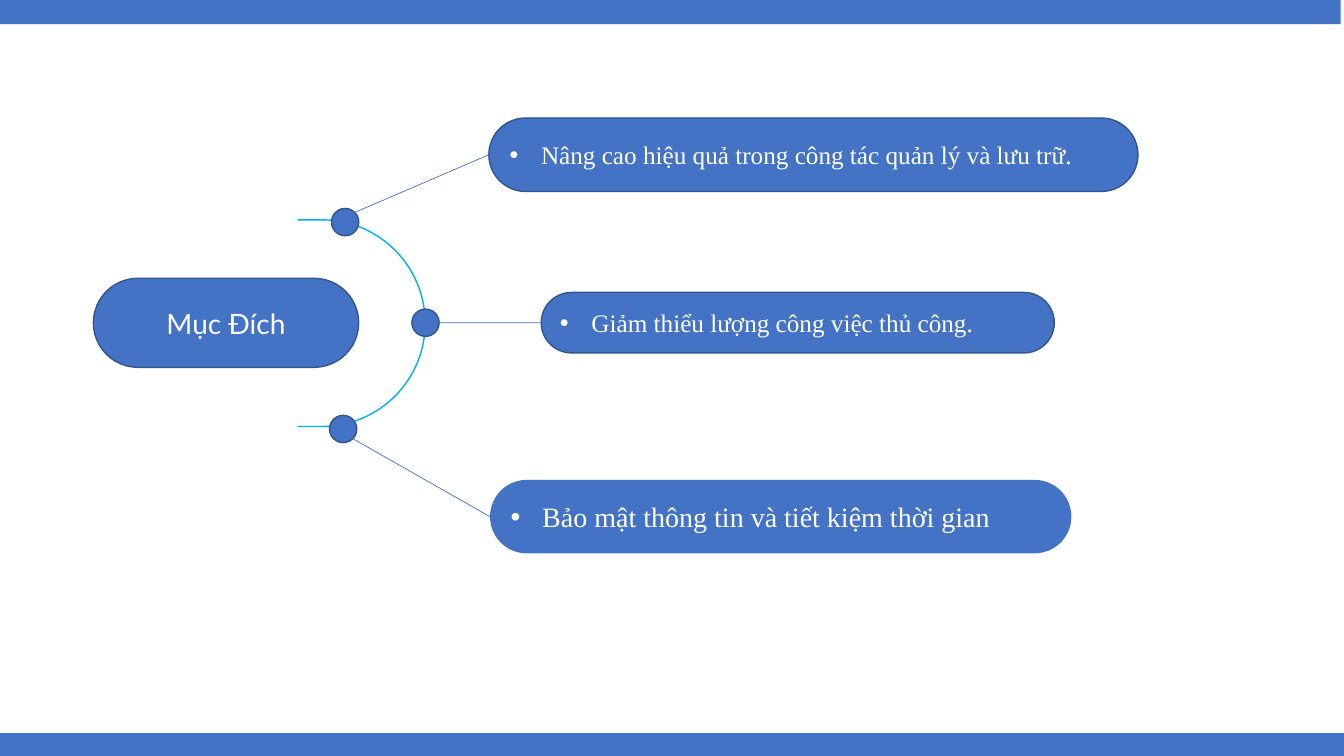
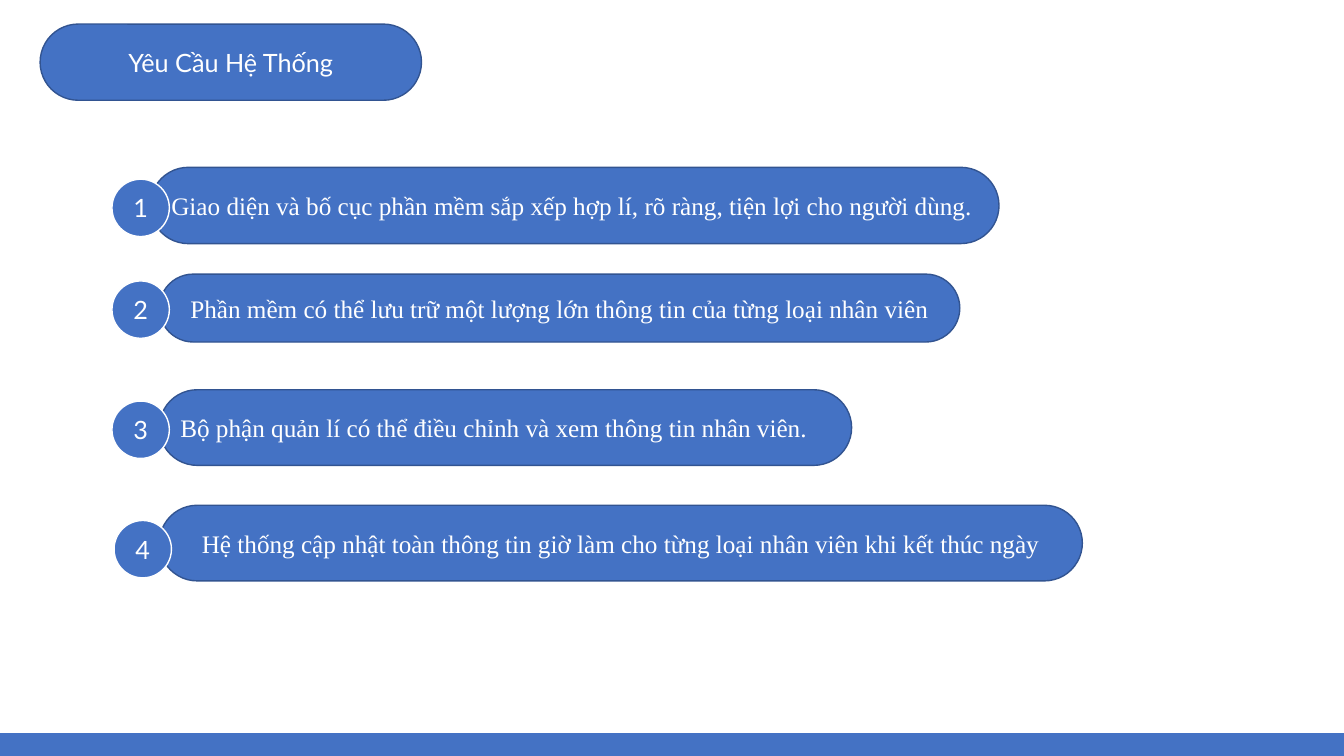
from math import cos, radians, sin

from lxml.etree import SubElement
from pptx import Presentation
from pptx.dml.color import RGBColor
from pptx.enum.shapes import MSO_CONNECTOR, MSO_SHAPE
from pptx.enum.text import MSO_ANCHOR, MSO_AUTO_SIZE, PP_ALIGN
from pptx.oxml.ns import qn
from pptx.util import Pt

# Shared look
BLUE = RGBColor(0x44, 0x72, 0xC4)
DARK_BLUE = RGBColor(0x32, 0x54, 0x91)
CYAN = RGBColor(0x00, 0xB0, 0xF0)
WHITE = RGBColor(0xFF, 0xFF, 0xFF)
SLIDE_W, SLIDE_H = 960, 540
BOTTOM_BAND_TOP = 523.6
NODE_SIZE, BADGE_SIZE = 19.5, 41
BULLET_INDENT = 22.5

FRAME_FORMAT = {
    "word_wrap": True,
    "auto_size": MSO_AUTO_SIZE.NONE,
    "vertical_anchor": MSO_ANCHOR.MIDDLE,
}
HEADING_FONT = {"name": "Lato", "size": Pt(18), "bold": False}
BODY_FONT = {"name": "Times New Roman", "size": Pt(18), "bold": False}

# Slide 1: box, font size, outline, node position, angle of the link on the node
PURPOSES = [
    ("Nâng cao hiệu quả trong công tác quản lý và lưu trữ.",
     (349.2, 84.3, 463.7, 52.5), 18, DARK_BLUE, (236.8, 148.9), -45),
    ("Giảm thiểu lượng công việc thủ công.",
     (386.6, 208.9, 366.5, 43.2), 18, DARK_BLUE, (294.2, 220.8), 0),
    ("Bảo mật thông tin và tiết kiệm thời gian",
     (350, 342.8, 415.3, 52.5), 20, None, (235.4, 296.7), 45),
]

# Slide 2: box, alignment, badge position
REQUIREMENTS = [
    ("Giao diện và bố cục phần mềm sắp xếp hợp lí, rõ ràng, tiện lợi cho người dùng.",
     (107.3, 119.5, 606.3, 54.5), PP_ALIGN.LEFT, (80, 128)),
    ("Phần mềm có thể lưu trữ một lượng lớn thông tin của từng loại nhân viên",
     (113.8, 195.8, 571.8, 48.5), PP_ALIGN.CENTER, (80, 200.7)),
    ("Bộ phận quản lí có thể điều chỉnh và xem thông tin nhân viên.",
     (113.8, 278.4, 494.5, 54), PP_ALIGN.LEFT, (80, 286.5)),
    ("Hệ thống cập nhật toàn thông tin giờ làm cho từng loại nhân viên khi kết thúc ngày",
     (113.8, 360.9, 659.3, 54), PP_ALIGN.CENTER, (81.5, 371.8)),
]


def apply_format(target, values):
    for attribute, value in values.items():
        setattr(target, attribute, value)


def write(shape, text, font, align):
    """Fill the shape with one white paragraph and return it."""
    apply_format(shape.text_frame, FRAME_FORMAT)
    paragraph = shape.text_frame.paragraphs[0]
    paragraph.alignment = align
    run = paragraph.add_run()
    run.text = text
    apply_format(run.font, font)
    run.font.color.rgb = WHITE
    return paragraph


def add_bullet(paragraph):
    properties = paragraph._p.get_or_add_pPr()
    properties.set("marL", str(Pt(BULLET_INDENT)))
    properties.set("indent", str(-Pt(BULLET_INDENT)))
    SubElement(properties, qn("a:buFont"), typeface="Arial")
    SubElement(properties, qn("a:buChar"), char="•")


def add_block(slide, preset, box, fill=BLUE, outline=None):
    block = slide.shapes.add_shape(preset, *map(Pt, box))
    block.shadow.inherit = False
    block.fill.solid()
    block.fill.fore_color.rgb = fill
    if outline is None:
        block.line.fill.background()
    else:
        block.line.color.rgb = outline
        block.line.width = Pt(1)
    return block


def add_pill(slide, box, fill=BLUE, outline=DARK_BLUE):
    pill = add_block(slide, MSO_SHAPE.ROUNDED_RECTANGLE, box, fill, outline)
    pill.adjustments[0] = 0.5
    return pill


def add_circle(slide, position, size, outline):
    return add_block(slide, MSO_SHAPE.OVAL, (*position, size, size), BLUE, outline)


def add_band(slide, top, width, height):
    add_block(slide, MSO_SHAPE.RECTANGLE, (0, top, width, height))


def add_title(slide, text, box, size):
    """Put the title placeholder in front of its pill."""
    add_pill(slide, box)
    title = slide.shapes.title
    slide.shapes._spTree.append(title._element)
    apply_format(title, dict(zip(("left", "top", "width", "height"), map(Pt, box))))
    write(title, text, {**HEADING_FONT, "size": Pt(size)}, PP_ALIGN.CENTER)


def add_link(slide, node_position, angle, pill_box):
    """Join the rim of a node to the middle of a pill's left side."""
    radius = NODE_SIZE / 2
    x, y = node_position
    left, top, _, height = pill_box
    link = slide.shapes.add_connector(
        MSO_CONNECTOR.STRAIGHT,
        Pt(x + radius + radius * cos(radians(angle))),
        Pt(y + radius + radius * sin(radians(angle))),
        Pt(left), Pt(top + height / 2))
    link.line.color.rgb = BLUE
    link.line.width = Pt(0.5)
    SubElement(link._element.spPr, qn("a:effectLst"))


def new_slide(deck):
    slide = deck.slides.add_slide(deck.slide_layouts[5])
    add_band(slide, BOTTOM_BAND_TOP, SLIDE_W, SLIDE_H - BOTTOM_BAND_TOP)
    return slide


def build_purpose(deck):
    slide = new_slide(deck)
    add_band(slide, 0, 957.6, 17.2)

    # Curve, with its left half covered
    add_pill(slide, (121.7, 157, 182, 147.6), WHITE, CYAN)
    add_block(slide, MSO_SHAPE.RECTANGLE, (79.2, 118, 133.5, 255.6), WHITE)
    add_title(slide, "Mục Đích", (66.7, 198.8, 189.5, 63.6), 20)

    # Branches
    for text, box, size, outline, node_position, angle in PURPOSES:
        pill = add_pill(slide, box, outline=outline)
        font = {**BODY_FONT, "size": Pt(size)}
        add_bullet(write(pill, text, font, PP_ALIGN.LEFT))
        add_circle(slide, node_position, NODE_SIZE, DARK_BLUE)
        add_link(slide, node_position, angle, box)


def build_requirements(deck):
    slide = new_slide(deck)
    add_title(slide, "Yêu Cầu Hệ Thống", (28.7, 17.2, 272.4, 54.4), 18)

    # Numbered rows
    for number, (text, box, align, badge_position) in enumerate(REQUIREMENTS, 1):
        write(add_pill(slide, box), text, BODY_FONT, align)
        badge = add_circle(slide, badge_position, BADGE_SIZE, WHITE)
        write(badge, str(number), HEADING_FONT, PP_ALIGN.CENTER)


def main():
    deck = Presentation()
    deck.slide_width, deck.slide_height = Pt(SLIDE_W), Pt(SLIDE_H)
    build_purpose(deck)
    build_requirements(deck)
    deck.save("out.pptx")


if __name__ == "__main__":
    main()
